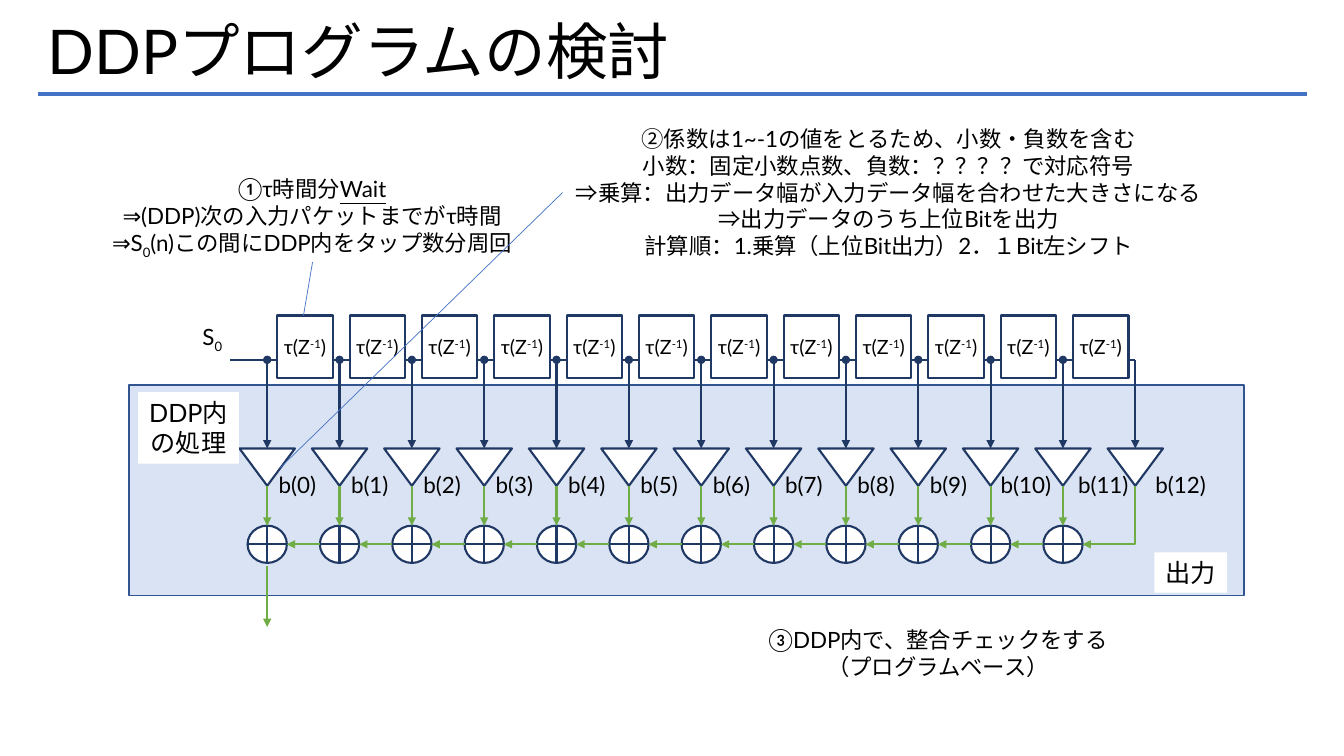
"""Build a slide on a 13-tap FIR filter and the work done inside the DDP."""
from dataclasses import dataclass

from lxml.etree import SubElement
from pptx import Presentation
from pptx.dml.color import RGBColor as RGB
from pptx.enum.shapes import MSO_CONNECTOR as CONN, MSO_SHAPE as SHAPE
from pptx.enum.text import MSO_ANCHOR as ANCHOR, MSO_AUTO_SIZE as FIT, PP_ALIGN as ALIGN
from pptx.oxml.ns import qn
from pptx.util import Inches, Pt


@dataclass(frozen=True)
class Theme:
    """Colours, font and type sizes of the slide."""
    font: str = "Lato"
    ink: str = "000000"
    paper: str = "FFFFFF"
    accent: str = "4472C4"
    navy: str = "203864"
    green: str = "70AD47"
    panel: str = "DAE3F3"
    panel_edge: str = "325491"
    title: int = 44
    tag: int = 18
    body: int = 16
    delay: int = 14


THEME = Theme()
TAPS = 13
FIRST_COL, PITCH = 2.65, 0.7175
BUS_ROW, GAIN_ROW, SUM_ROW = 3.57, 4.45, 5.4
GAIN_W, GAIN_H = 0.55, 0.37
SUM_W, SUM_H = 0.39, 0.37
GAIN_TIP = GAIN_ROW + GAIN_H
SUM_TOP = SUM_ROW - SUM_H / 2

WAIT_NOTE = [
    [("①τ時間分", {}), ("Wait", {"underline": True})],
    [("⇒(DDP)次の入力パケットまでがτ時間", {})],
    [("⇒S", {}), ("0", {"baseline": -25}), ("(n)この間にDDP内をタップ数分周回", {})],
]
GAIN_NOTE = [[(line, {})] for line in (
    "②係数は1~-1の値をとるため、小数・負数を含む",
    "小数：固定小数点数、負数：？？？？で対応符号",
    "⇒乗算：出力データ幅が入力データ幅を合わせた大きさになる",
    "⇒出力データのうち上位Bitを出力",
    "計算順：1.乗算（上位Bit出力）2．１Bit左シフト",
)]
CHECK_NOTE = [[(line, {})] for line in ("③DDP内で、整合チェックをする", "（プログラムベース）")]
INPUT = [[("S", {}), ("0", {"baseline": -25})]]
DELAY = [[("τ(Z", {}), ("-1", {"baseline": 30}), (")", {})]]


def col(tap):
    """Return the x position of a tap's column."""
    return FIRST_COL + PITCH * tap


def write(tf, paragraphs, size, align=ALIGN.CENTER):
    """Fill a text frame run by run."""
    for i, runs in enumerate(paragraphs):
        p = tf.add_paragraph() if i else tf.paragraphs[0]
        p.alignment = align
        for text, style in runs:
            r = p.add_run()
            r.text = text
            r.font.name, r.font.size = THEME.font, Pt(size)
            r.font.color.rgb = RGB.from_string(THEME.ink)
            if style.get("underline"):
                r.font.underline = True
            if "baseline" in style:
                r.font._element.set("baseline", str(style["baseline"] * 1000))


def add_text(s, box, paragraphs, align=ALIGN.CENTER, wrap=True):
    """Add a text box of body-size paragraphs."""
    tf = s.shapes.add_textbox(*map(Inches, box)).text_frame
    tf.word_wrap, tf.auto_size = wrap, FIT.SHAPE_TO_FIT_TEXT
    write(tf, paragraphs, THEME.body, align)


def add_block(s, kind, box, fill=THEME.paper, edge=THEME.navy, width=1.5):
    """Add a filled preset shape with an optional outline."""
    sp = s.shapes.add_shape(kind, *map(Inches, box))
    sp.shadow.inherit = False
    sp.fill.solid()
    sp.fill.fore_color.rgb = RGB.from_string(fill)
    if edge:
        sp.line.color.rgb = RGB.from_string(edge)
        sp.line.width = Pt(width)
    else:
        sp.line.fill.background()
    return sp


def add_tag(s, box, text):
    """Add a white borderless label."""
    tf = add_block(s, SHAPE.RECTANGLE, box, edge=None).text_frame
    tf.word_wrap, tf.auto_size = True, FIT.SHAPE_TO_FIT_TEXT
    tf.vertical_anchor = ANCHOR.TOP
    write(tf, [[(text, {})]], THEME.tag)


def add_line(s, start, end, color, width=1.5, head=None, tail=None, kind=CONN.STRAIGHT):
    """Add a connector with optional end marks."""
    line = s.shapes.add_connector(kind, *map(Inches, (*start, *end)))
    line.line.color.rgb = RGB.from_string(color)
    line.line.width = Pt(width)
    sppr = line.element.spPr
    for name, mark in (("a:headEnd", head), ("a:tailEnd", tail)):
        if mark:
            SubElement(sppr.find(qn("a:ln")), qn(name)).set("type", mark)
    SubElement(sppr, qn("a:effectLst"))
    return line


def add_corner_arrow(s, start, end, color):
    """Add an arrow that runs down and then left."""
    mid_x, mid_y = (start[0] + end[0]) / 2, (start[1] + end[1]) / 2
    half_w, half_h = (end[1] - start[1]) / 2, (start[0] - end[0]) / 2
    line = add_line(s, (mid_x - half_w, mid_y - half_h), (mid_x + half_w, mid_y + half_h),
                    color, tail="triangle", kind=CONN.ELBOW)
    sppr = line.element.spPr
    sppr.find(qn("a:xfrm")).set("rot", str(90 * 60000))
    sppr.find(qn("a:prstGeom")).set("prst", "bentConnector2")


def add_title(s, text):
    """Fill the title placeholder and rule it off."""
    title = s.shapes.title
    title.left, title.top, title.width, title.height = map(Inches, (0.37, 0.15, 12.6, 0.79))
    tf = title.text_frame
    tf.auto_size, tf.vertical_anchor, tf.word_wrap = FIT.NONE, ANCHOR.MIDDLE, True
    write(tf, [[(text, {})]], THEME.title, ALIGN.LEFT)
    tf.paragraphs[0].line_spacing = 0.9
    add_line(s, (0.38, 0.93), (12.96, 0.93), THEME.accent, 3)


def add_gain(s, tap):
    """Add a tap's multiplier and its coefficient label."""
    gain = add_block(s, SHAPE.ISOSCELES_TRIANGLE,
                     (col(tap) - GAIN_W / 2, GAIN_ROW, GAIN_W, GAIN_H))
    gain.element.spPr.find(qn("a:xfrm")).set("flipV", "1")
    label_x = col(tap) + 0.3 + 0.05 * max(0, tap - 9)
    add_text(s, (label_x - 0.35, 4.62, 0.7, 0.37), [[(f"b({tap})", {})]], wrap=False)


def add_sum(s, tap):
    """Add a tap's adder and the arrow into it."""
    add_block(s, SHAPE.FLOWCHART_OR, (col(tap) - SUM_W / 2, SUM_TOP, SUM_W, SUM_H))
    add_line(s, (col(tap), GAIN_TIP), (col(tap), SUM_TOP), THEME.green, tail="triangle")
    if tap:
        add_line(s, (col(tap) - SUM_W / 2, SUM_ROW), (col(tap - 1) + SUM_W / 2, SUM_ROW),
                 THEME.green, tail="triangle")


def add_delay(s, tap):
    """Add the delay box that follows a tap."""
    tf = add_block(s, SHAPE.RECTANGLE, (col(tap) + 0.1, 3.13, 0.55, 0.62)).text_frame
    tf.word_wrap, tf.vertical_anchor = False, ANCHOR.MIDDLE
    write(tf, DELAY, THEME.delay)


def add_filter(s):
    """Draw the filter's bus, taps, delays and sums."""
    last = TAPS - 1
    add_block(s, SHAPE.RECTANGLE, (1.28, 3.82, 11.06, 2.09), THEME.panel, THEME.panel_edge, 1)
    add_line(s, (2.28, BUS_ROW), (col(last), BUS_ROW), THEME.navy)
    add_text(s, (1.91, 3.16, 0.4, 0.37), INPUT, ALIGN.LEFT, wrap=False)
    for tap in range(TAPS):
        add_gain(s, tap)
        add_line(s, (col(tap), BUS_ROW), (col(tap), GAIN_ROW), THEME.navy,
                 head="oval" if tap < last else None, tail="triangle")
    for tap in range(last):
        add_sum(s, tap)
        add_delay(s, tap)
    add_corner_arrow(s, (col(last), GAIN_TIP), (col(last - 1) + SUM_W / 2, SUM_ROW), THEME.green)
    add_line(s, (col(0), 5.62), (col(0), 6.22), THEME.green, tail="triangle")
    add_tag(s, (1.37, 3.89, 1, 0.71), "DDP内の処理")
    add_tag(s, (11.45, 5.48, 0.72, 0.4), "出力")


def main():
    """Build and save the slide."""
    prs = Presentation()
    prs.slide_width, prs.slide_height = Inches(13.33), Inches(7.5)
    s = prs.slides.add_slide(prs.slide_layouts[5])
    add_title(s, "DDPプログラムの検討")
    add_filter(s)
    add_text(s, (0.87, 1.69, 4.45, 0.91), WAIT_NOTE)
    add_text(s, (5.58, 1.19, 6.47, 1.45), GAIN_NOTE)
    add_text(s, (7.08, 6.16, 4.45, 0.64), CHECK_NOTE)
    add_line(s, (3.1, 2.6), (3.01, 3.13), THEME.accent, 0.5)
    add_line(s, (5.58, 1.91), (2.78, 4.64), THEME.accent, 0.5)
    prs.save("out.pptx")


if __name__ == "__main__":
    main()
